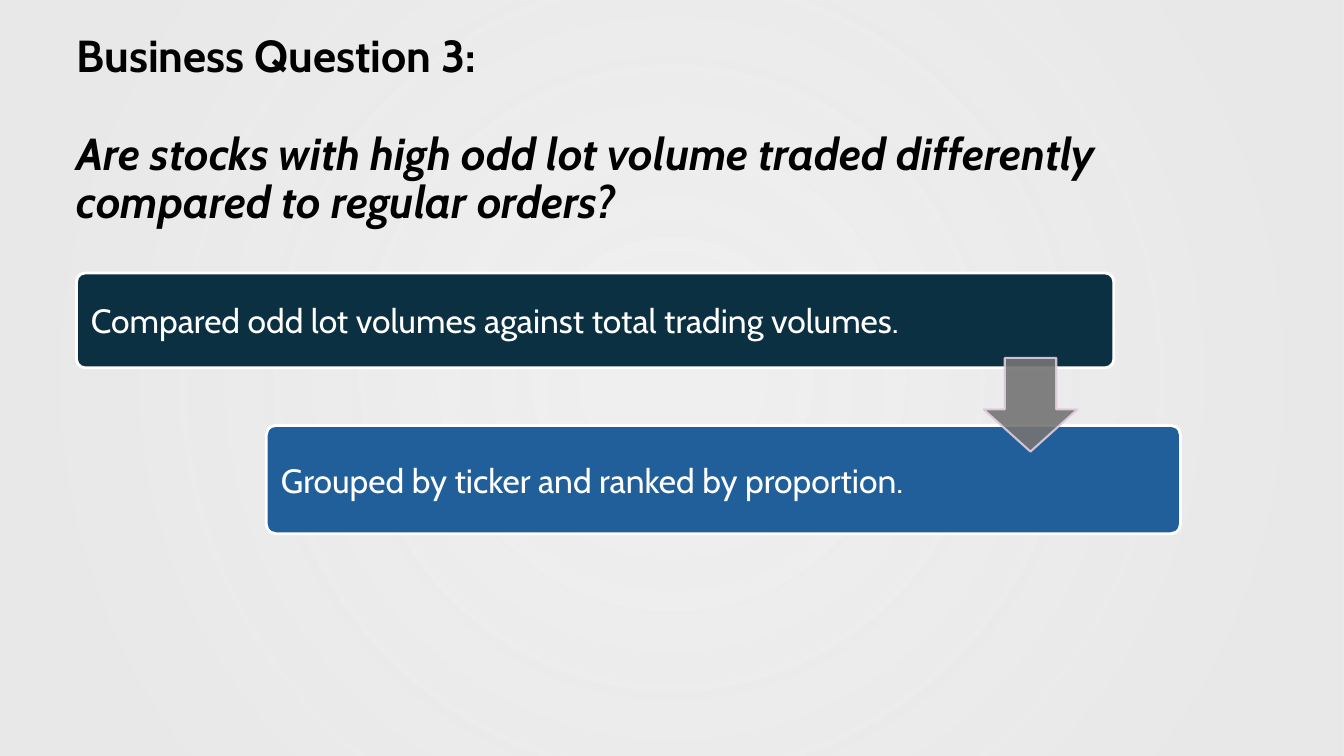
from lxml.etree import SubElement as Sub
from pptx import Presentation
from pptx.dml.color import RGBColor as Rgb
from pptx.enum.shapes import MSO_SHAPE as Kind
from pptx.enum.text import MSO_ANCHOR as Anchor, MSO_AUTO_SIZE as Auto, PP_ALIGN as Align
from pptx.oxml.ns import qn
from pptx.util import Cm, Pt

WIDE, HIGH = 33.87, 19.05
STEPS = [
    ("Compared odd lot volumes against total trading volumes.", (1.93, 6.88, 26.14, 2.39), "0B3041", 4.01),
    ("Grouped by ticker and ranked by proportion.", (6.71, 10.72, 23.04, 2.73), "215F9A", 4.52),
]
TITLE = [
    ("Business Question 3:", False, 0),
    ("Are stocks with high odd lot volume traded differently compared to regular orders?", True, 35),
]


def shade(code):
    return Rgb.from_string(code)


def apply(item, vals):
    for name, val in vals.items():
        setattr(item, name, val)


def place(item, box):
    apply(item, dict(zip(("left", "top", "width", "height"), map(Cm, box))))


def fade(shape, rates):
    for tint, rate in zip(shape.element.iter(qn("a:srgbClr")), rates):
        Sub(tint, qn("a:alpha"), val=str(rate * 1000))


def draw(slide, kind, box, fill=None, line=None, width=0):
    shape = slide.shapes.add_shape(kind, *map(Cm, box))
    shape.shadow.inherit = False
    if fill:
        shape.fill.solid()
        shape.fill.fore_color.rgb = shade(fill)
    if line:
        shape.line.color.rgb = shade(line)
        shape.line.width = Pt(width)
    else:
        shape.line.fill.background()
    return shape


def write(para, text, size, code, **font):
    para.alignment = Align.LEFT
    run = para.add_run()
    run.text = text
    apply(run.font, {"name": "Cabin", "size": Pt(size), **font})
    run.font.color.rgb = shade(code)


def add_glow(slide):
    glow = draw(slide, Kind.RECTANGLE, (0, 0, WIDE, HIGH))
    glow.fill.gradient()
    for stop, pos in zip(glow.fill.gradient_stops, (0.1, 0.85)):
        stop.color.rgb = shade("E8E8E8")
        stop.position = pos
    fade(glow, (68, 97))
    grad = next(glow.element.iter(qn("a:gradFill")))
    grad.remove(grad.find(qn("a:lin")))
    ring = Sub(grad, qn("a:path"), path="circle")
    Sub(ring, qn("a:fillToRect"), dict.fromkeys("ltrb", "50000"))
    slide.shapes.title.element.addprevious(glow.element)


def add_title(slide):
    title = slide.shapes.title
    place(title, (1.68, 1.02, 31.12, 4.57))
    frame = title.text_frame
    apply(frame, {"auto_size": Auto.NONE, "vertical_anchor": Anchor.MIDDLE, "word_wrap": True})
    for num, (text, slant, gap) in enumerate(TITLE):
        para = frame.add_paragraph() if num else frame.paragraphs[0]
        apply(para, {"line_spacing": 0.9, "space_before": Pt(gap)})
        write(para, text, 32, "000000", bold=True, italic=slant)


def add_step(slide, text, box, fill, right):
    step = draw(slide, Kind.ROUNDED_RECTANGLE, box, fill, "FFFFFF", 2)
    step.adjustments[0] = 0.09
    frame = step.text_frame
    apply(frame, dict.fromkeys(("margin_left", "margin_top", "margin_bottom"), Cm(0.3)))
    apply(frame, {"margin_right": Cm(right), "vertical_anchor": Anchor.MIDDLE, "word_wrap": True})
    write(frame.paragraphs[0], text, 24, "FFFFFF")


def add_arrow(slide):
    arrow = draw(slide, Kind.DOWN_ARROW, (24.79, 9.02, 2.36, 2.36), "747474", "DFCDDC", 1.5)
    arrow.adjustments[0] = 0.55
    arrow.adjustments[1] = 0.45
    fade(arrow, (90, 90))


def main():
    """Build the slide on business question 3 and save it."""
    deck = Presentation()
    apply(deck, {"slide_width": Cm(WIDE), "slide_height": Cm(HIGH)})
    slide = deck.slides.add_slide(deck.slide_layouts[5])
    add_glow(slide)
    add_title(slide)
    for step in STEPS:
        add_step(slide, *step)
    add_arrow(slide)
    deck.save("out.pptx")


if __name__ == "__main__":
    main()
